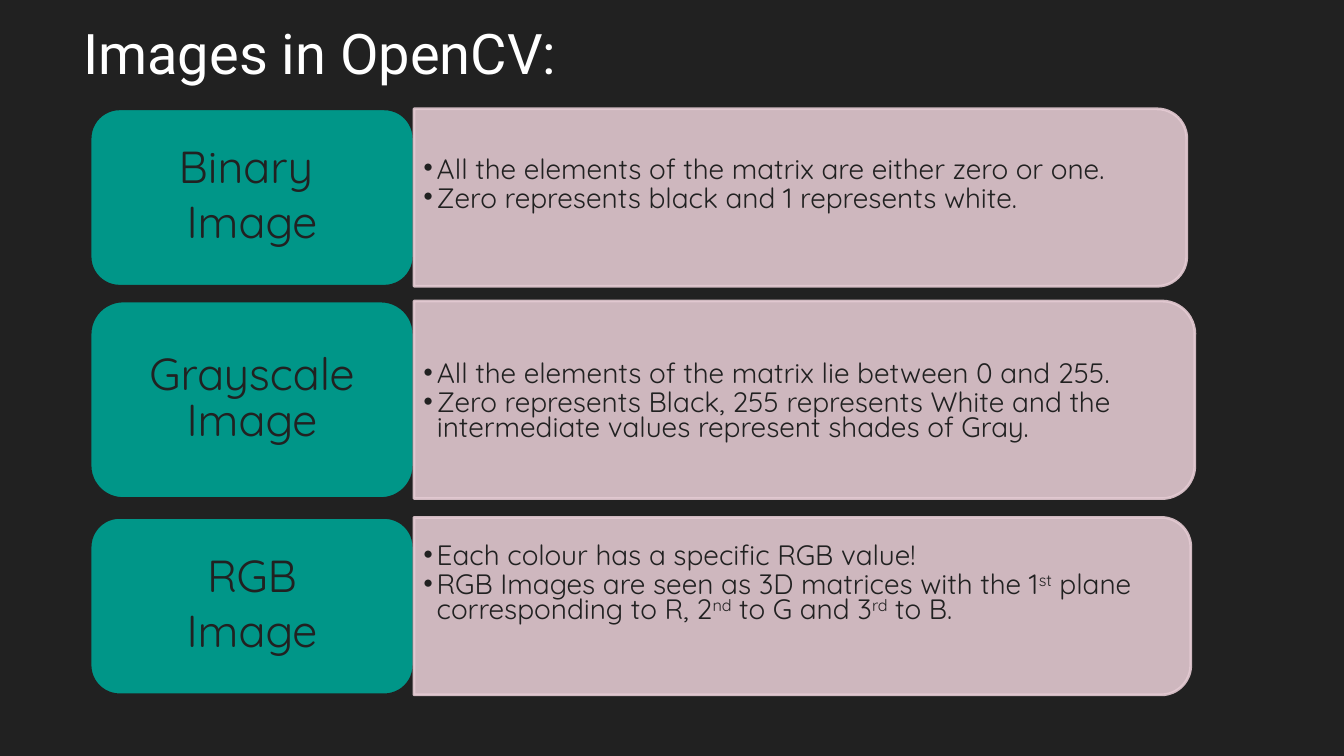
from lxml.etree import SubElement
from pptx import Presentation
from pptx.dml.color import RGBColor
from pptx.enum.shapes import MSO_SHAPE as Shape
from pptx.enum.text import MSO_ANCHOR as Anchor, PP_ALIGN as Align
from pptx.oxml.ns import qn
from pptx.util import Inches, Pt

DARK = RGBColor(0x21, 0x21, 0x21)
TEAL = RGBColor(0x00, 0x96, 0x88)
PINK = RGBColor(0xE4, 0xCA, 0xD2)
WHITE = RGBColor(0xFF, 0xFF, 0xFF)
BODY_FONT = "Quicksand"
LABEL_LEFT, LABEL_WIDTH = 0.67, 2.41
PANEL_LEFT = LABEL_LEFT + LABEL_WIDTH

ROWS = [
    (0.81, 1.32, 5.75, ["Binary ", "Image"], (0.79, 6.36, 1.19),
     ["All the elements of the matrix are either zero or one.",
      "Zero represents black and 1 represents white."]),
    (2.24, 1.47, 5.81, ["Grayscale Image"], (2.3, 5.75, 1.4),
     ["All the elements of the matrix lie between 0 and 255.",
      "Zero represents Black, 255 represents White and the "
      "intermediate values represent shades of Gray."]),
    (3.85, 1.32, 5.78, ["RGB", "Image"], (3.76, 6.36, 1.19),
     ["Each colour has a specific RGB value!",
      "RGB Images are seen as 3D matrices with the 1^st^ plane "
      "corresponding to R, 2^nd^ to G and 3^rd^ to B."]),
]


def set_frame(frame, anchor):
    frame.word_wrap = True
    frame.vertical_anchor = anchor
    frame.margin_left = frame.margin_right = Inches(0.07)
    frame.margin_top = frame.margin_bottom = Inches(0.04)


def add_paragraph(frame, index, text, size, line_spacing, space_before):
    para = frame.add_paragraph() if index else frame.paragraphs[0]
    for position, piece in enumerate(text.split("^")):
        span = para.add_run()
        span.text = piece
        if position % 2:
            span.font._element.set("baseline", "30000")
    para.font.name = BODY_FONT
    para.font.size = Pt(size)
    para.font.color.rgb = DARK
    para.line_spacing = line_spacing
    para.space_before = Pt(space_before if index else 0)
    return para


deck = Presentation()
deck.slide_width, deck.slide_height = Inches(10), Inches(10 * 9 / 16)
page = deck.slides.add_slide(deck.slide_layouts[5])
page.background.fill.solid()
page.background.fill.fore_color.rgb = DARK

title = page.shapes.title
title.left, title.top = Inches(0.55), Inches(0.1)
title.width, title.height = Inches(7.71), Inches(1.15)
set_frame(title.text_frame, Anchor.TOP)
title.text_frame.text = "Images in OpenCV:"
heading = title.text_frame.paragraphs[0]
heading.alignment = Align.LEFT
heading.font.name = "Roboto"
heading.font.size = Pt(30)
heading.font.color.rgb = WHITE

for top, height, panel_width, label_lines, text_place, bullets in ROWS:
    label = page.shapes.add_shape(
        Shape.ROUNDED_RECTANGLE, Inches(LABEL_LEFT), Inches(top),
        Inches(LABEL_WIDTH), Inches(height))
    label.adjustments[0] = 0.167
    label.shadow.inherit = False
    label.fill.solid()
    label.fill.fore_color.rgb = TEAL
    label.line.color.rgb = DARK
    label.line.width = Pt(1.5)
    set_frame(label.text_frame, Anchor.MIDDLE)
    for index, text in enumerate(label_lines):
        para = add_paragraph(label.text_frame, index, text, 24, 0.85, 5)
        para.alignment = Align.CENTER

    panel = page.shapes.add_shape(
        Shape.ROUND_2_SAME_RECTANGLE,
        Inches(PANEL_LEFT + (panel_width - height) / 2),
        Inches(top + (height - panel_width) / 2),
        Inches(height), Inches(panel_width))
    panel.rotation = 90
    panel.adjustments[0], panel.adjustments[1] = 0.167, 0
    panel.shadow.inherit = False
    panel.fill.solid()
    panel.fill.fore_color.rgb = PINK
    panel.line.color.rgb = PINK
    panel.line.width = Pt(1.5)
    for color in panel._element.spPr.iter(qn("a:srgbClr")):
        SubElement(color, qn("a:alpha"), val="89000")

    text_top, text_width, text_height = text_place
    box = page.shapes.add_textbox(
        Inches(PANEL_LEFT), Inches(text_top),
        Inches(text_width), Inches(text_height))
    set_frame(box.text_frame, Anchor.MIDDLE)
    for index, text in enumerate(bullets):
        para = add_paragraph(box.text_frame, index, text, 15, 0.75, 2)
        para.level = 1
        properties = para._p.get_or_add_pPr()
        properties.set("marL", str(Inches(0.1)))
        properties.set("indent", str(-Inches(0.1)))
        bullet_color = SubElement(properties, qn("a:buClr"))
        SubElement(bullet_color, qn("a:srgbClr"), val=str(DARK))
        SubElement(properties, qn("a:buFont"), typeface=BODY_FONT)
        SubElement(properties, qn("a:buChar"), char="•")
        properties.append(properties.find(qn("a:defRPr")))

deck.save("out.pptx")
